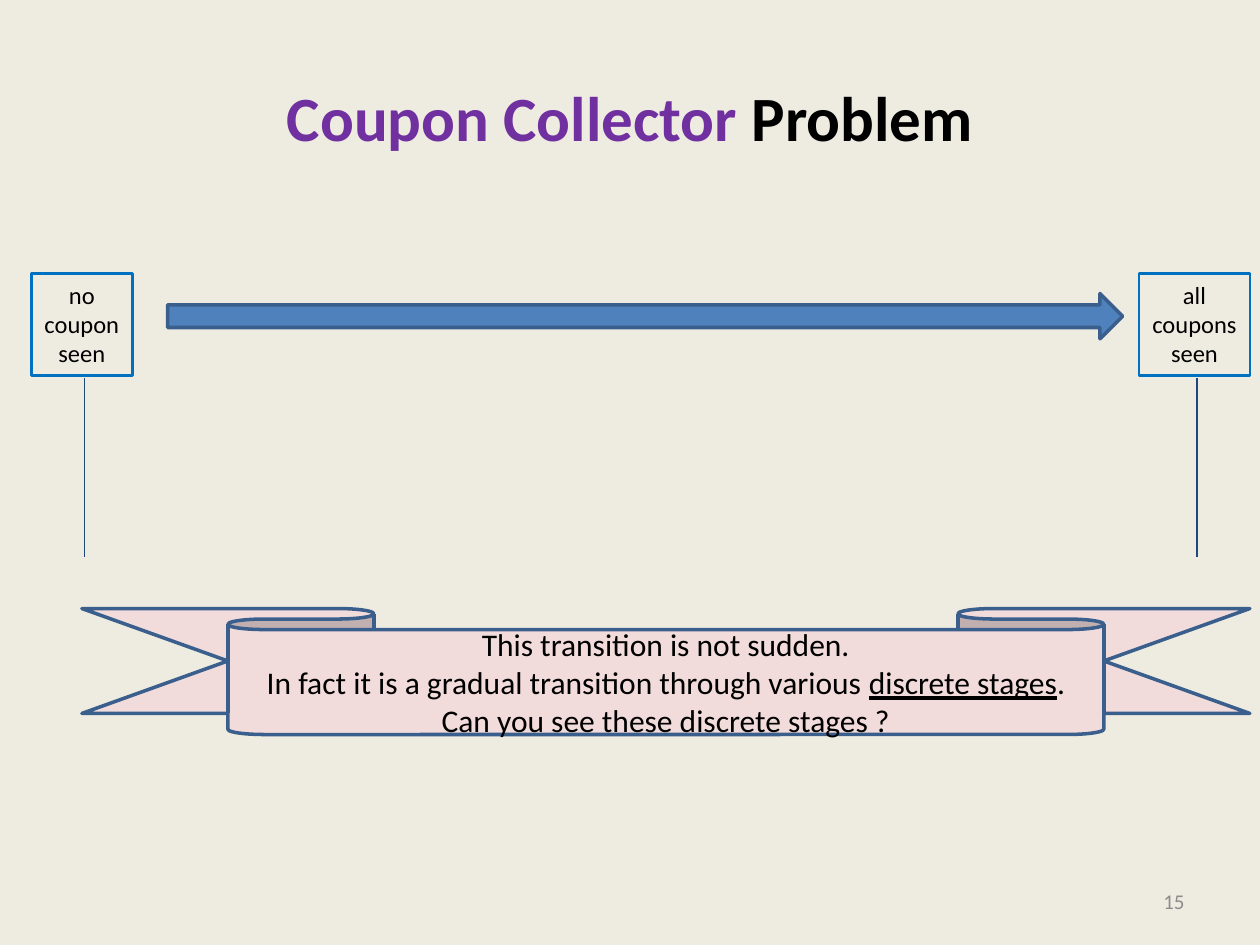
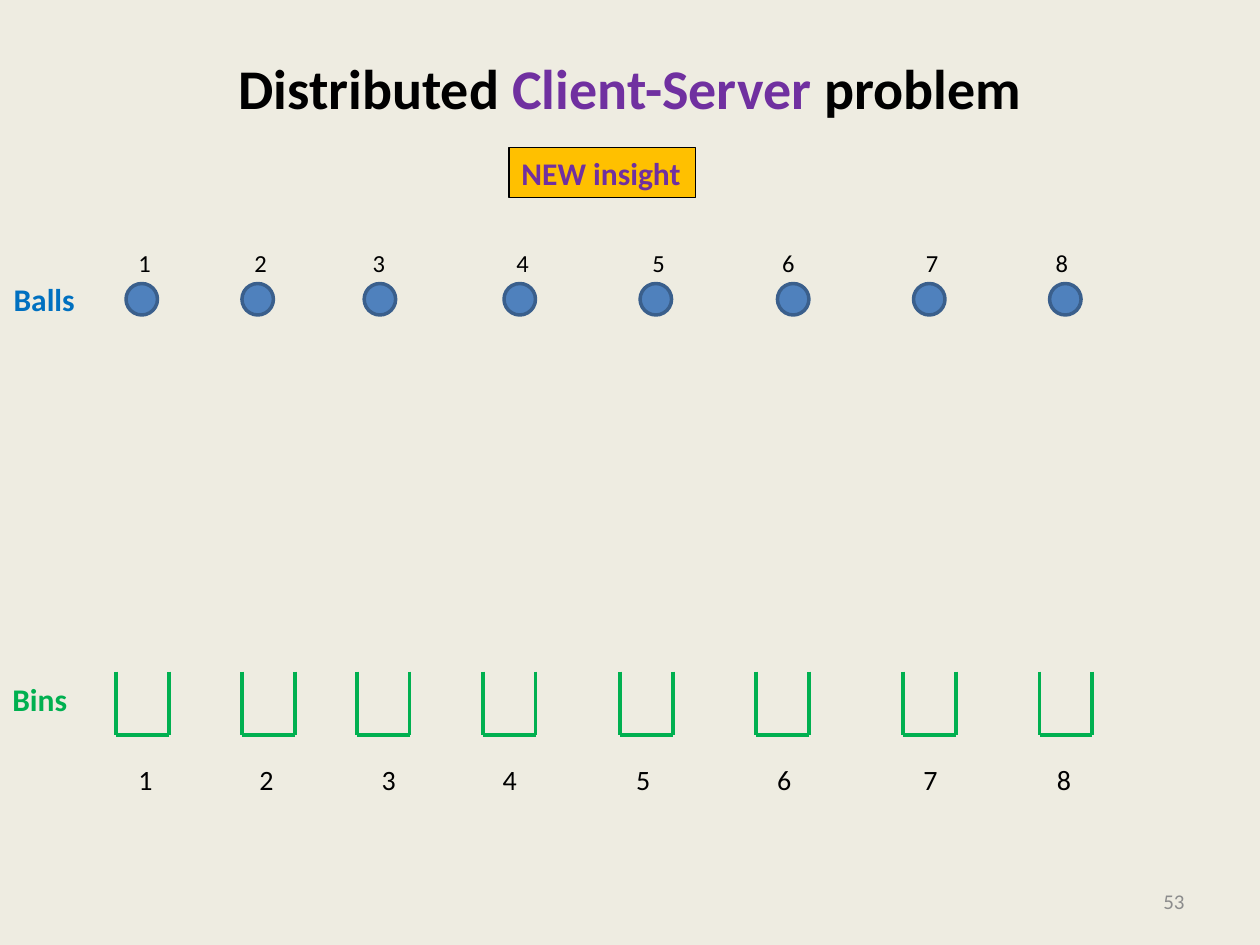
from lxml import etree
from pptx import Presentation, util as u
from pptx.dml.color import RGBColor
from pptx.enum import shapes, text
from pptx.oxml.ns import qn

FONT = "Calibri"
COLORS = {
    "background": "EEECE1", "ink": "000000", "purple": "7030A0",
    "grey": "8C8C8C", "blue": "0070C0", "navy": "1F497D",
    "fill": "4F81BD", "outline": "3A5F8C", "pink": "F2DCDB",
    "green": "00B050", "amber": "FFC000",
}
SHAPE = shapes.MSO_SHAPE
LEFT, CENTER, RIGHT = text.PP_ALIGN.LEFT, text.PP_ALIGN.CENTER, text.PP_ALIGN.RIGHT
TOP, MIDDLE = text.MSO_ANCHOR.TOP, text.MSO_ANCHOR.MIDDLE

BALL_LEFTS = [1, 1.92, 2.89, 4, 5.08, 6.17, 7.25, 8.33]
BALL_LABEL_LEFTS = [1, 1.92, 2.86, 4, 5.08, 6.11, 7.25, 8.28]
BIN_LEFTS = [0.92, 1.92, 2.83, 3.83, 4.92, 6, 7.17, 8.25]
BIN_LABEL_CENTERS = [1.15, 2.11, 3.08, 4.04, 5.1, 6.22, 7.38, 8.44]
BALL_SIZE = 0.25
BIN_TOP, BIN_BOTTOM, BIN_WIDTH = 5.33, 5.83, 0.42


def rgb(name):
    return RGBColor.from_string(COLORS[name])


def inches(*lengths):
    return [u.Inches(length) for length in lengths]


def write(sp, lines, size, color="ink", bold=False, align=LEFT, anchor=TOP, wrap=False):
    """Fill a shape; each line is a list of (text, run font settings) pairs or a string."""
    tf = sp.text_frame
    tf.word_wrap = wrap
    tf.vertical_anchor = anchor
    for i, line in enumerate(lines):
        p = tf.add_paragraph() if i else tf.paragraphs[0]
        p.alignment = align
        p.font.name, p.font.size, p.font.bold = FONT, u.Pt(size), bold
        p.font.color.rgb = rgb(color)
        for words, style in [(line, {})] if isinstance(line, str) else line:
            r = p.add_run()
            r.text = words
            if "color" in style:
                r.font.color.rgb = rgb(style["color"])
            if "underline" in style:
                r.font.underline = style["underline"]


def add_text(s, box, lines, size, **style):
    sp = s.shapes.add_textbox(*inches(*box))
    write(sp, lines, size, **style)


def add_shape(s, kind, box, fill=None, line="outline", width=2):
    sp = s.shapes.add_shape(kind, *inches(*box))
    sp.shadow.inherit = False
    if fill:
        sp.fill.solid()
        sp.fill.fore_color.rgb = rgb(fill)
    else:
        sp.fill.background()
    sp.line.color.rgb = rgb(line)
    sp.line.width = u.Pt(width)
    return sp


def add_line(s, start, end, color, width):
    line = s.shapes.add_connector(shapes.MSO_CONNECTOR.STRAIGHT, *inches(*start, *end))
    line.line.color.rgb = rgb(color)
    line.line.width = u.Pt(width)
    etree.SubElement(line._element.spPr, qn("a:effectLst"))


def add_slide(prs, title, size, number, title_height=1.25):
    s = prs.slides.add_slide(prs.slide_layouts[6])
    s.background.fill.solid()
    s.background.fill.fore_color.rgb = rgb("background")
    add_text(s, (0.5, 0.3, 9, title_height), [title], size, bold=True,
             align=CENTER, anchor=MIDDLE, wrap=True)
    add_text(s, (7.17, 6.95, 2.33, 0.4), [str(number)], 12, color="grey",
             align=RIGHT, anchor=MIDDLE, wrap=True)
    return s


def add_state(s, left, width, line_x, lines):
    """Framed state label with the vertical line hanging below it."""
    add_line(s, (line_x, 3), (line_x, 4.42), "navy", 0.75)
    sp = add_shape(s, SHAPE.RECTANGLE, (left, 2.17, width, 0.81), line="blue", width=1.5)
    write(sp, lines, 14, align=CENTER)


def add_ball(s, number, left, label_left):
    add_shape(s, SHAPE.OVAL, (left, 2.25, BALL_SIZE, BALL_SIZE), "fill")
    add_text(s, (label_left, 1.92, 0.3, 0.34), [str(number)], 14)


def add_bin(s, number, left, label_center):
    right = left + BIN_WIDTH
    for x in (left, right):
        add_line(s, (x, BIN_TOP), (x, BIN_BOTTOM), "green", 2.25)
    add_line(s, (left, BIN_BOTTOM), (right, BIN_BOTTOM), "green", 2.25)
    add_text(s, (label_center - 0.15, 6, 0.3, 0.37), [str(number)], 16, align=CENTER)


def coupon_slide(prs):
    title = [("Coupon Collector ", {"color": "purple"}), ("Problem", {})]
    s = add_slide(prs, title, 36, 15)
    add_state(s, 0.25, 0.8, 0.67, ["no", "coupon", "seen"])
    add_state(s, 9.04, 0.88, 9.5, ["all", "coupons", "seen"])
    add_shape(s, SHAPE.RIGHT_ARROW, (1.33, 2.33, 7.58, 0.36), "fill")
    ribbon = add_shape(s, SHAPE.DOWN_RIBBON, (0.65, 4.83, 9.27, 1), "pink")
    ribbon.adjustments[0], ribbon.adjustments[1] = 0.167, 0.75
    write(ribbon, [
        "This transition is not sudden.",
        [("In fact it is a gradual transition through various ", {}),
         ("discrete stages", {"underline": True}), (".", {})],
        "Can you see these discrete stages ?",
    ], 18, align=CENTER, anchor=MIDDLE, wrap=True)


def client_server_slide(prs):
    title = [("Distributed ", {}), ("Client-Server ", {"color": "purple"}), ("problem", {})]
    s = add_slide(prs, title, 32, 53, title_height=0.78)
    for number, lefts in enumerate(zip(BALL_LEFTS, BALL_LABEL_LEFTS), 1):
        add_ball(s, number, *lefts)
    for number, places in enumerate(zip(BIN_LEFTS, BIN_LABEL_CENTERS), 1):
        add_bin(s, number, *places)
    add_text(s, (0, 5.35, 0.64, 0.4), ["Bins"], 18, color="green", bold=True)
    add_text(s, (0.01, 2.17, 0.69, 0.4), ["Balls"], 18, color="blue", bold=True)
    badge = add_shape(s, SHAPE.RECTANGLE, (4.04, 1.17, 1.48, 0.4), "amber", "ink", 0.75)
    write(badge, ["NEW insight"], 18, color="purple", bold=True)


def main():
    prs = Presentation()
    prs.slide_width, prs.slide_height = inches(10, 7.5)
    coupon_slide(prs)
    client_server_slide(prs)
    prs.save("out.pptx")


if __name__ == "__main__":
    main()
